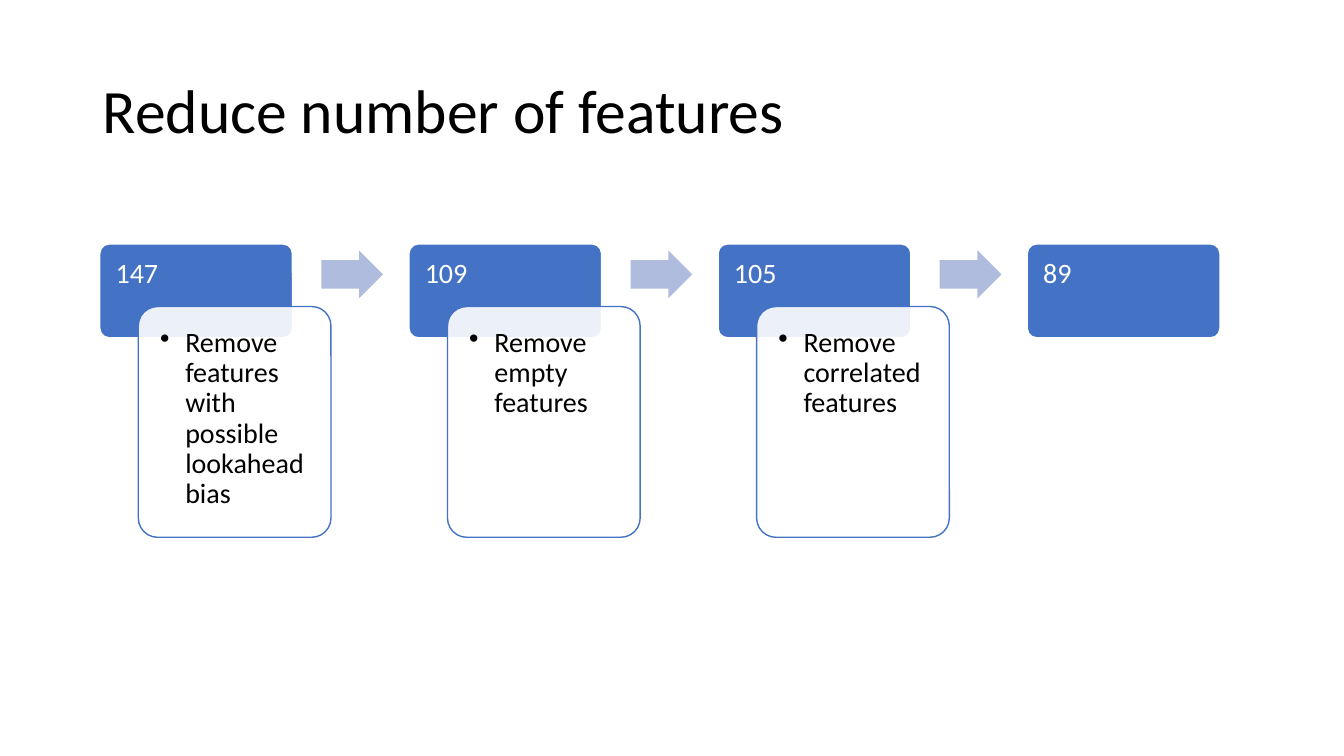
from dataclasses import dataclass
from lxml import etree
from pptx import Presentation
from pptx import util as u
from pptx.dml.color import RGBColor
from pptx.enum import shapes, text
from pptx.oxml import ns


@dataclass(frozen=True)
class Theme:
    font: str = "Calibri"
    title_size: int = 44
    body_size: int = 20
    ink: str = "000000"
    paper: str = "FFFFFF"
    accent: str = "4472C4"
    arrow: str = "B0BCDE"
    card_alpha: int = 90


T = Theme()
STEPS = [
    ("147", "Remove features with possible lookahead bias"),
    ("109", "Remove empty features"),
    ("105", "Remove correlated features"),
    ("89", None),
]


def add_panel(s, kind, box, fill, line=None, adjustments=(0.1,)):
    sp = s.shapes.add_shape(kind, *map(u.Inches, box))
    sp.shadow.inherit = False
    for i, value in enumerate(adjustments):
        sp.adjustments[i] = value
    sp.fill.solid()
    sp.fill.fore_color.rgb = RGBColor.from_string(fill)
    if line:
        sp.line.color.rgb = RGBColor.from_string(line)
        sp.line.width = u.Pt(1)
    else:
        sp.line.fill.background()
    return sp


def write(sp, words, size, color, inset, anchor=text.MSO_ANCHOR.TOP):
    tf = sp.text_frame
    tf.word_wrap = True
    tf.vertical_anchor = anchor
    tf.margin_left = tf.margin_right = u.Inches(inset)
    tf.margin_top = tf.margin_bottom = u.Inches(inset)
    p = tf.paragraphs[0]
    p.text = words
    p.alignment = text.PP_ALIGN.LEFT
    p.line_spacing = 0.9
    p.font.name = T.font
    p.font.size = u.Pt(size)
    p.font.color.rgb = RGBColor.from_string(color)
    return p


def add_bullet(p, indent):
    pPr = p._p.get_or_add_pPr()
    pPr.set("marL", str(u.Inches(indent)))
    pPr.set("indent", str(-u.Inches(indent)))
    bullet = etree.Element(ns.qn("a:buChar"), char="•")
    pPr.find(ns.qn("a:lnSpc")).addnext(bullet)


def set_alpha(sp, percent):
    color = sp.fill._xPr.find(ns.qn("a:solidFill"))[0]
    etree.SubElement(color, ns.qn("a:alpha"), val=str(percent * 1000))


def add_title(s, box, words):
    sp = s.shapes.add_textbox(*map(u.Inches, box))
    write(sp, words, T.title_size, T.ink, 0.1, text.MSO_ANCHOR.MIDDLE)


def add_step(s, box, count, action):
    x, y, w, h = box
    rounded = shapes.MSO_SHAPE.ROUNDED_RECTANGLE
    head_h = 0.32 * h
    head = add_panel(s, rounded, (x, y, w, head_h), T.accent, T.paper)
    write(head, count, T.body_size, T.paper, 0.13)
    if not action:
        return
    card_y = y + head_h * 2 / 3
    card_box = (x + 0.2 * w, card_y, w, y + h - card_y)
    card = add_panel(s, rounded, card_box, T.paper, T.accent)
    set_alpha(card, T.card_alpha)
    add_bullet(write(card, action, T.body_size, T.ink, 0.16), 0.25)
    arrow_box = (x + 1.15 * w, y + head_h * 0.07, 0.32 * w, head_h * 0.51)
    add_panel(s, shapes.MSO_SHAPE.RIGHT_ARROW, arrow_box, T.arrow,
              adjustments=(0.6, 0.5))


def add_process(s, box, steps):
    x, y, w, h = box
    step_w = 0.172 * w
    pitch = (w - step_w) / (len(steps) - 1)
    for i, (count, action) in enumerate(steps):
        add_step(s, (x + i * pitch, y, step_w, h), count, action)


prs = Presentation()
prs.slide_width, prs.slide_height = u.Inches(13.33), u.Inches(7.5)
s = prs.slides.add_slide(prs.slide_layouts[6])
add_title(s, (0.92, 0.4, 11.5, 1.45), "Reduce number of features")
add_process(s, (0.99, 2.42, 11.11, 2.91), STEPS)
prs.save("out.pptx")
